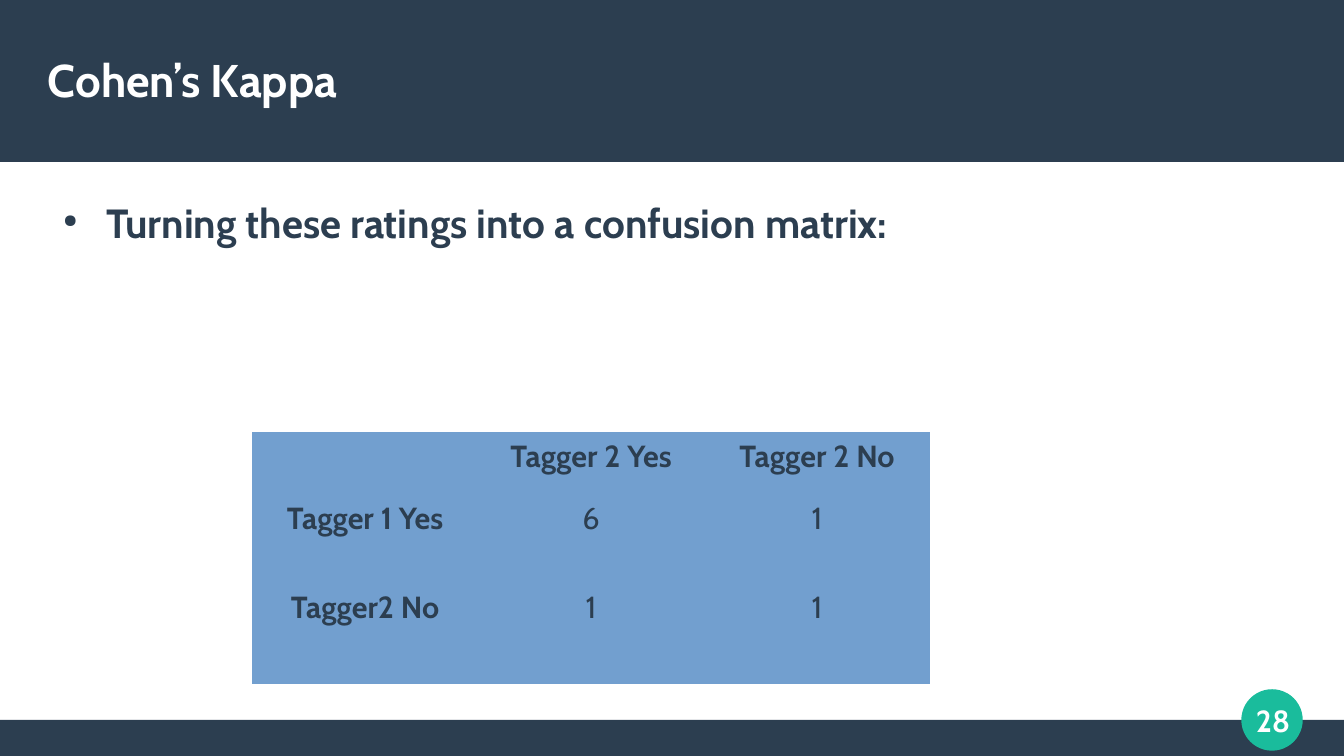
from lxml.etree import SubElement
from pptx import Presentation
from pptx.dml.color import RGBColor
from pptx.enum.shapes import MSO_SHAPE
from pptx.enum.text import MSO_ANCHOR, PP_ALIGN
from pptx.oxml.ns import qn
from pptx.util import Pt

PX = 7495  # EMU per pixel, 122 pixels to the inch
WIDTH, HEIGHT = 1344, 756
COLORS = {"navy": "2C3E50", "green": "1ABC9C", "blue": "729FCF", "white": "FFFFFF"}


def color(name):
    return RGBColor.from_string(COLORS[name])


def write(frame, text, size=18, ink="navy", bold=True, align=PP_ALIGN.LEFT,
          anchor=MSO_ANCHOR.MIDDLE, margin=0):
    """Fill a text frame with one formatted paragraph and return the paragraph."""
    frame.word_wrap = True
    frame.vertical_anchor = anchor
    frame.margin_left = frame.margin_right = margin * PX
    frame.margin_top = frame.margin_bottom = margin * PX // 2
    para = frame.paragraphs[0]
    para.alignment = align
    span = para.add_run()
    span.text = text
    span.font.name = "Cabin"
    span.font.size = Pt(size)
    span.font.bold = bold
    span.font.color.rgb = color(ink)
    return para


deck = Presentation()
deck.slide_width, deck.slide_height = WIDTH * PX, HEIGHT * PX
page = deck.slides.add_slide(deck.slide_layouts[6])

# Footer band, header band and page number disc
for kind, fill, bounds in [
    (MSO_SHAPE.RECTANGLE, "navy", (0, 720, WIDTH, 36)),
    (MSO_SHAPE.RECTANGLE, "navy", (0, 0, WIDTH, 162)),
    (MSO_SHAPE.OVAL, "green", (1242, 690, 60, 60)),
]:
    shape = page.shapes.add_shape(kind, *[length * PX for length in bounds])
    shape.shadow.inherit = False
    shape.fill.solid()
    shape.fill.fore_color.rgb = color(fill)
    if kind == MSO_SHAPE.OVAL:
        shape.line.color.rgb = color(fill)
        shape.line.width = Pt(0.85)
    else:
        shape.line.fill.background()

# Page number, title and body text
paras = {}
for name, bounds, text, style in [
    ("number", (1225, 684, 96, 72), "28", dict(ink="white", align=PP_ALIGN.CENTER)),
    ("title", (48, 31, 1249, 96), "Cohen’s Kappa", dict(size=27, ink="white")),
    ("body", (48, 198, 1249, 504), "Turning these ratings into a confusion matrix:",
     dict(size=24, anchor=MSO_ANCHOR.TOP)),
]:
    box = page.shapes.add_textbox(*[length * PX for length in bounds])
    paras[name] = write(box.text_frame, text, **style)

paras["body"].space_after = Pt(10.5)
bullet = paras["body"]._p.get_or_add_pPr()
bullet.set("marL", str(58 * PX))
bullet.set("indent", str(-43 * PX))
bullet_color = SubElement(bullet, qn("a:buClr"))
SubElement(bullet_color, qn("a:srgbClr"), val=COLORS["navy"])
SubElement(bullet, qn("a:buSzPct"), val="45000")
SubElement(bullet, qn("a:buChar"), char="●")

# Confusion matrix
MATRIX = [
    ["", "Tagger 2 Yes", "Tagger 2 No"],
    ["Tagger 1 Yes", "6", "1"],
    ["Tagger2 No", "1", "1"],
]
COLUMN_WIDTH = 226
ROW_HEIGHTS = [62, 89, 101]
frame = page.shapes.add_table(3, 3, 252 * PX, 432 * PX,
                              3 * COLUMN_WIDTH * PX, sum(ROW_HEIGHTS) * PX)
table = frame.table
table.first_row = table.horz_banding = False
style_id = table._tbl.tblPr.find(qn("a:tableStyleId"))
style_id.text = "{2D5ABB26-0587-4C30-8999-92F81FD0307C}"  # no style, no grid
for column in table.columns:
    column.width = COLUMN_WIDTH * PX
for r, (height, texts) in enumerate(zip(ROW_HEIGHTS, MATRIX)):
    table.rows[r].height = height * PX
    for c, text in enumerate(texts):
        cell = table.cell(r, c)
        cell.fill.solid()
        cell.fill.fore_color.rgb = color("blue")
        if text:
            write(cell.text_frame, text, bold=r == 0 or c == 0,
                  align=PP_ALIGN.CENTER, anchor=MSO_ANCHOR.TOP, margin=12)

deck.save("out.pptx")
